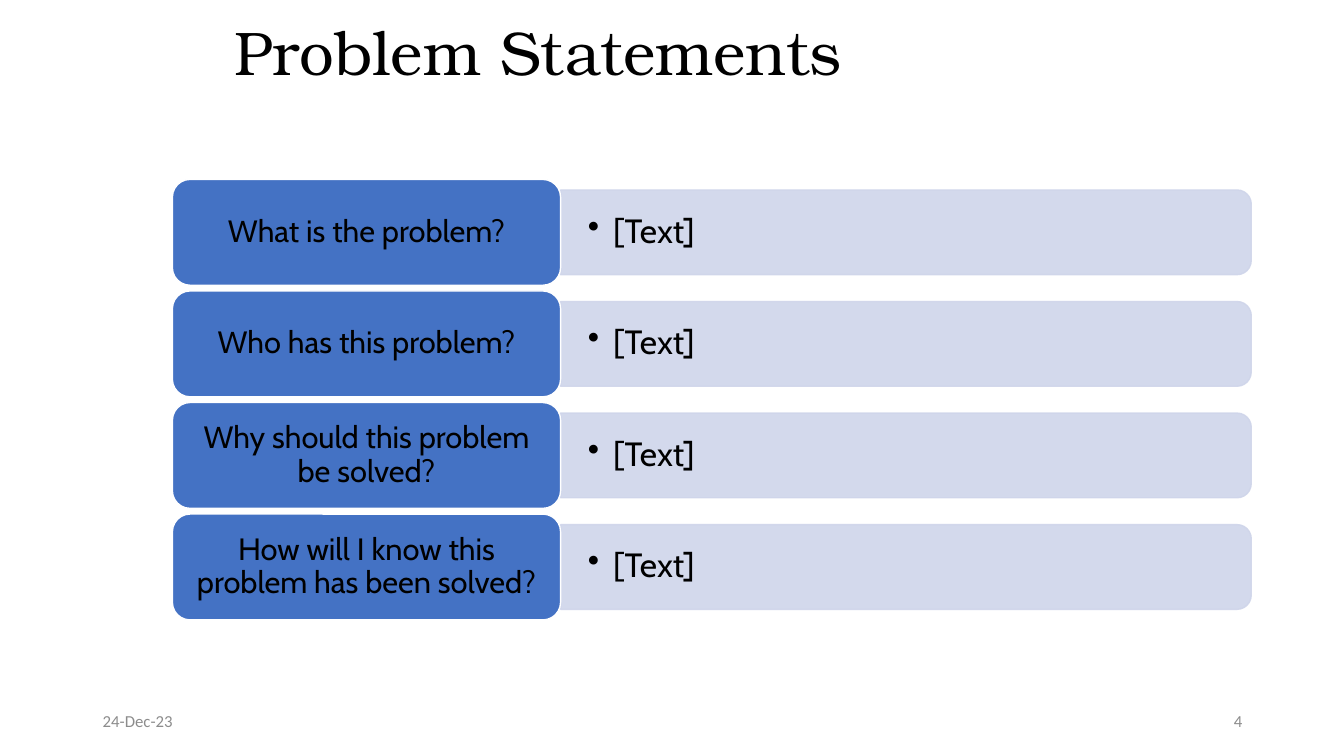
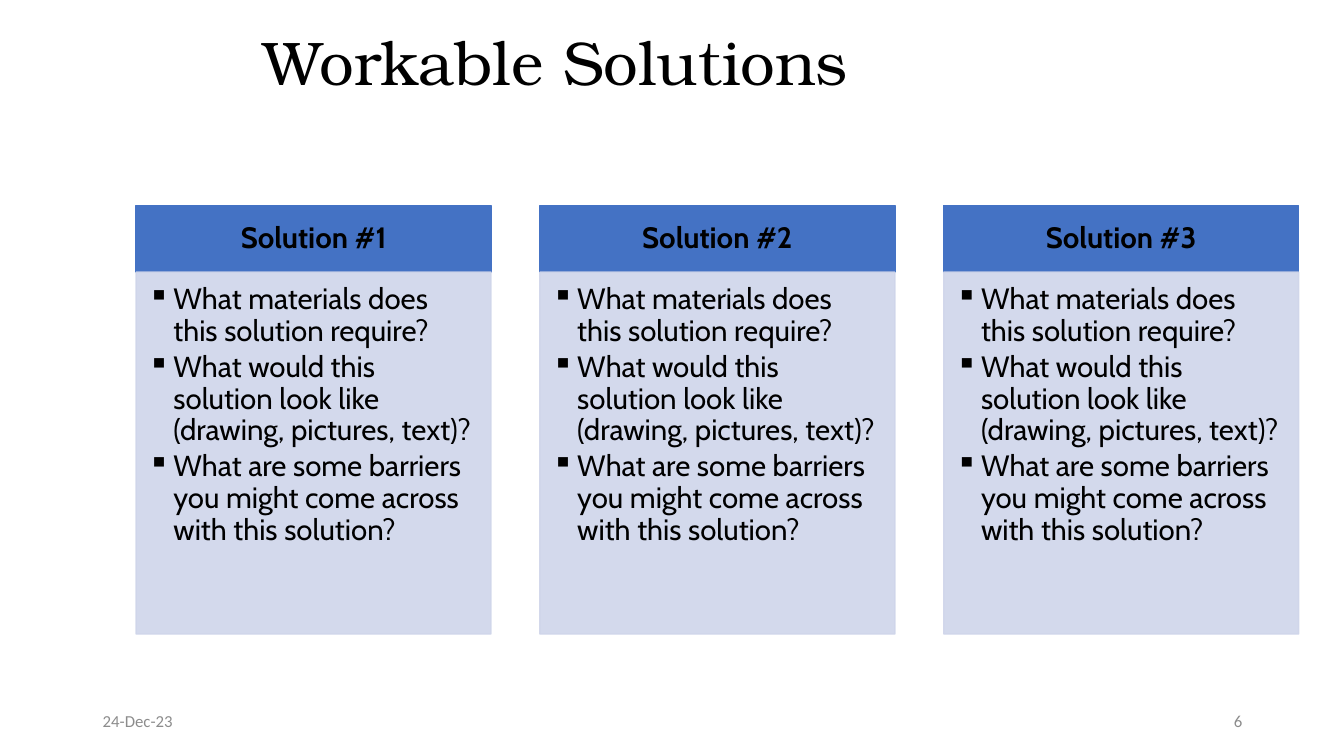
from dataclasses import dataclass
from typing import Any

from lxml.etree import SubElement as SubEl
from pptx import Presentation
from pptx.dml.color import RGBColor as RGB
from pptx.enum.shapes import MSO_SHAPE as SHAPE
from pptx.enum.text import MSO_ANCHOR as ANCHOR, PP_ALIGN as ALIGN
from pptx.oxml.ns import qn
from pptx.util import Inches, Pt


@dataclass(frozen=True)
class Theme:
    blue: str = "4472C4"
    pale: str = "CFD5EA"
    white: str = "FFFFFF"
    black: str = "000000"
    grey: str = "8C8C8C"
    serif: str = "TeX Gyre Bonum"
    sans: str = "Cabin"
    small: str = "Calibri"
    title: int = 44
    answer: int = 24
    label: int = 22
    card: int = 21
    footer: int = 12


@dataclass(frozen=True)
class Box:
    x: float
    y: float
    w: float
    h: float


@dataclass(frozen=True)
class Page:
    title: str
    head: Box
    number: str


@dataclass(frozen=True)
class Row:
    label: str
    answer: str = "[Text]"


@dataclass(frozen=True)
class Card:
    name: str
    points: tuple[str, ...]


THEME = Theme()
DATE = "24-Dec-23"
POINTS = (
    "What materials does this solution require?",
    "What would this solution look like (drawing, pictures, text)?",
    "What are some barriers you might come across with this solution?",
)
ROWS = (
    Row("What is the problem?"),
    Row("Who has this problem?"),
    Row("Why should this problem be solved?"),
    Row("How will I know this problem has been solved?"),
)
CARDS = tuple(Card(f"Solution #{n}", POINTS) for n in (1, 2, 3))


# Drawing helpers
def put_text(shape: Any, *lines: str, size: int, font: str = THEME.sans,
             color: str = THEME.black, bold: bool = False,
             align: Any = ALIGN.LEFT, anchor: Any = ANCHOR.MIDDLE,
             pad: tuple = (0.1, 0.05, 0.1, 0.05), bullet: str = "",
             lead: float = 0.9, after: float = 0) -> None:
    frame = shape.text_frame
    frame.word_wrap = True
    frame.vertical_anchor = anchor
    (frame.margin_left, frame.margin_top,
     frame.margin_right, frame.margin_bottom) = map(Inches, pad)
    for i, line in enumerate(lines):
        para = frame.add_paragraph() if i else frame.paragraphs[0]
        para.alignment = align
        para.line_spacing = lead
        para.space_after = Pt(after)
        run = para.add_run()
        run.text = line
        run.font.name = font
        run.font.size = Pt(size)
        run.font.bold = bold
        run.font.color.rgb = RGB.from_string(color)
        if bullet:
            props = para._p.get_or_add_pPr()
            props.set("marL", str(Inches(0.25)))
            props.set("indent", str(Inches(-0.25)))
            SubEl(props, qn("a:buChar"), char=bullet)


def add_box(slide: Any, box: Box) -> Any:
    return slide.shapes.add_textbox(*map(Inches, (box.x, box.y, box.w, box.h)))


def add_form(slide: Any, kind: Any, box: Box, fill: str, line: str,
             alpha: int = 100) -> Any:
    shape = slide.shapes.add_shape(
        kind, *map(Inches, (box.x, box.y, box.w, box.h)))
    shape.shadow.inherit = False
    shape.line.width = Pt(1)
    for paint, color in ((shape.fill, fill), (shape.line.fill, line)):
        paint.solid()
        paint.fore_color.rgb = RGB.from_string(color)
    if alpha < 100:
        for tint in shape._element.spPr.iter(qn("a:srgbClr")):
            SubEl(tint, qn("a:alpha"), val=str(alpha * 1000))
    return shape


# Title and footer of every slide
def add_page(deck: Any, page: Page) -> Any:
    slide = deck.slides.add_slide(deck.slide_layouts[6])
    put_text(add_box(slide, page.head), page.title,
             size=THEME.title, font=THEME.serif)
    for x, text, align in ((0.92, DATE, ALIGN.LEFT),
                           (9.42, page.number, ALIGN.RIGHT)):
        put_text(add_box(slide, Box(x, 6.95, 3, 0.4)), text, align=align,
                 size=THEME.footer, font=THEME.small, color=THEME.grey, lead=1)
    return slide


# Question label with an answer bar to its right
def add_row(slide: Any, row: Row, y: float) -> None:
    label = Box(1.71, y, 3.85, 1.05)
    long, thick = 6.85, 0.84
    left, mid = label.x + label.w, y + label.h / 2
    # The bar stands upright and is turned so its round end points right
    bar = Box(left + (long - thick) / 2, mid - long / 2, thick, long)
    form = add_form(slide, SHAPE.ROUND_2_SAME_RECTANGLE, bar,
                    THEME.pale, THEME.pale, alpha=90)
    form.rotation = 90
    put_text(add_box(slide, Box(left, mid - 0.38, 6.81, 0.76)), row.answer,
             size=THEME.answer, bullet="•", pad=(0.27, 0.14, 0.27, 0.14))
    form = add_form(slide, SHAPE.ROUNDED_RECTANGLE, label,
                    THEME.blue, THEME.white)
    put_text(form, row.label, size=THEME.label, align=ALIGN.CENTER,
             pad=(0.09, 0.05, 0.09, 0.05))


# Solution card: blue head over a pale list
def add_card(slide: Any, card: Card, x: float) -> None:
    head = Box(x, 2.04, 3.52, 0.66)
    form = add_form(slide, SHAPE.RECTANGLE, head, THEME.blue, THEME.blue)
    put_text(form, card.name, size=THEME.card, bold=True, align=ALIGN.CENTER,
             pad=(0.16, 0.09, 0.16, 0.09))
    body = Box(x, head.y + head.h, head.w, 3.59)
    form = add_form(slide, SHAPE.RECTANGLE, body,
                    THEME.pale, THEME.pale, alpha=90)
    put_text(form, *card.points, size=THEME.card, bullet="▪", after=3,
             anchor=ANCHOR.TOP, pad=(0.12, 0.12, 0.16, 0.18))


def main() -> None:
    deck = Presentation()
    deck.slide_width, deck.slide_height = Inches(13.33), Inches(7.5)

    # Problem statements
    slide = add_page(deck, Page("Problem Statements",
                                Box(2.23, 0.02, 7.18, 1.07), "4"))
    step = (5.1 - 1.78) / (len(ROWS) - 1)
    for i, row in enumerate(ROWS):
        add_row(slide, row, 1.78 + i * step)

    # Workable solutions
    slide = add_page(deck, Page("Workable Solutions",
                                Box(2.52, 0, 9.27, 1.29), "6"))
    step = (9.36 - 1.35) / (len(CARDS) - 1)
    for i, card in enumerate(CARDS):
        add_card(slide, card, 1.35 + i * step)

    deck.save("out.pptx")


if __name__ == "__main__":
    main()
